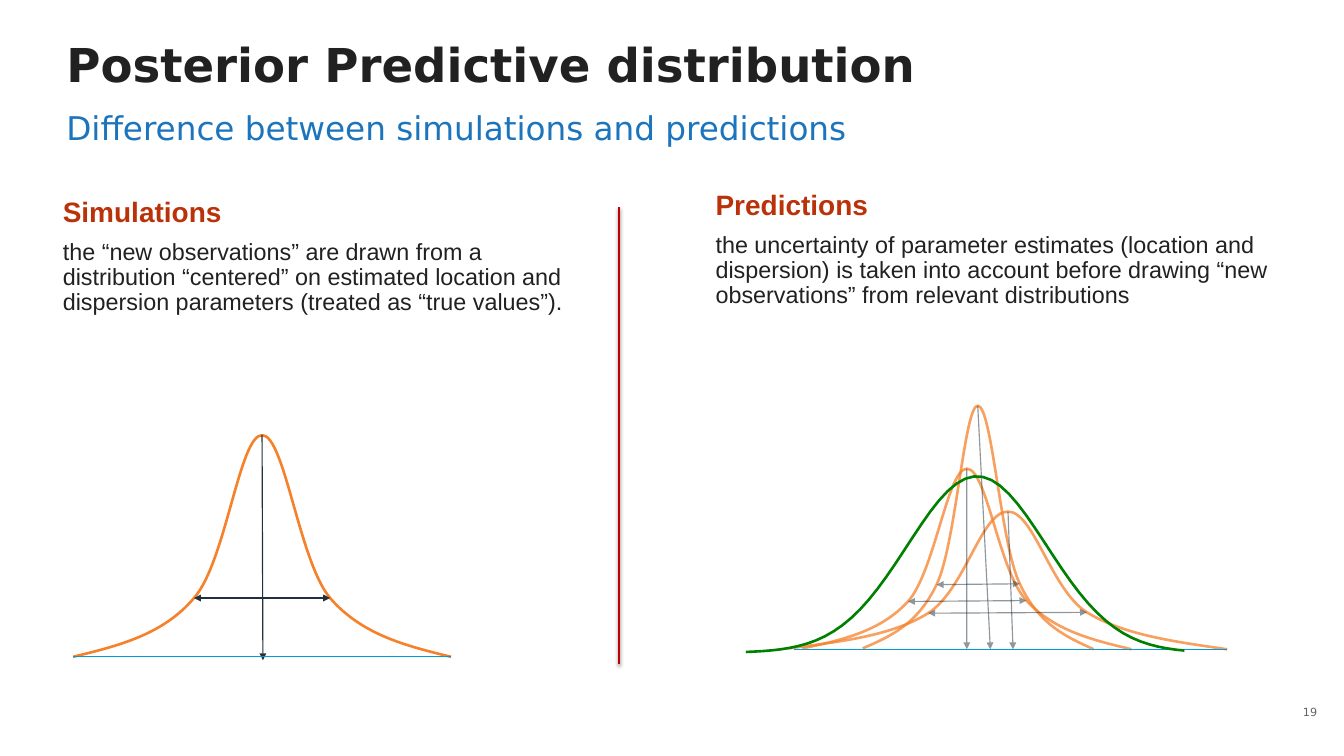
from math import exp

from lxml.etree import SubElement
from pptx import Presentation
from pptx.dml.color import RGBColor
from pptx.enum.shapes import MSO_CONNECTOR
from pptx.enum.text import MSO_ANCHOR, PP_ALIGN
from pptx.oxml.ns import qn
from pptx.util import Pt

EMU_PER_PX = 9144
INK = RGBColor(0x21, 0x21, 0x21)
SUBTITLE_BLUE = RGBColor(0x1C, 0x75, 0xBC)
PAGE_GREY = RGBColor(0x64, 0x64, 0x64)
HEADING_RUST = RGBColor(0xBA, 0x32, 0x09)
DIVIDER_RED = RGBColor(0xC0, 0x00, 0x00)
CURVE_ORANGE = RGBColor(0xF5, 0x81, 0x2A)
PREDICTIVE_GREEN = RGBColor(0x00, 0x80, 0x00)
ARROW_NAVY = RGBColor(0x21, 0x30, 0x3C)
AXIS_BLUE = RGBColor(0x00, 0x9C, 0xDA)

SIMULATION_CURVE = [
    (87, 782), (140, 769), (194, 756), (231, 712), (269, 669), (285, 518), (312, 518),
    (339, 518), (356, 668), (393, 712), (431, 756), (484, 769), (537, 782)]
PREDICTION_CURVES = [
    [(955, 772), (1002, 762), (1048, 752), (1081, 716), (1113, 680), (1128, 558), (1151, 558),
     (1175, 558), (1189, 680), (1222, 715), (1255, 751), (1301, 762), (1347, 773)],
    [(938, 772), (1000, 764), (1062, 757), (1105, 730), (1149, 702), (1168, 609), (1200, 609),
     (1231, 609), (1251, 702), (1294, 729), (1338, 756), (1399, 764), (1461, 773)],
    [(1027, 772), (1059, 758), (1092, 744), (1115, 696), (1138, 648), (1148, 483), (1164, 483),
     (1181, 483), (1191, 647), (1214, 695), (1237, 744), (1269, 758), (1302, 773)]]
MEAN_FEET = [1151, 1206, 1179]


def px(length):
    """Turn px, a hundred to the inch, into EMU."""
    return round(length * EMU_PER_PX)


def add_text(slide, box, paragraphs, font_name, inset=(0, 0), line_spacing=None,
             space_before=0, align=PP_ALIGN.LEFT, anchor=MSO_ANCHOR.TOP):
    """Add a wrapped text box with (text, size, colour, bold) paragraphs."""
    frame = slide.shapes.add_textbox(*map(px, box)).text_frame
    frame.word_wrap = True
    frame.vertical_anchor = anchor
    frame.margin_left = frame.margin_right = px(inset[0])
    frame.margin_top = frame.margin_bottom = px(inset[1])
    for index, (text, size, colour, bold) in enumerate(paragraphs):
        paragraph = frame.add_paragraph() if index else frame.paragraphs[0]
        paragraph.alignment = align
        paragraph.space_before = Pt(space_before if index else 0)
        paragraph.line_spacing = line_spacing
        run = paragraph.add_run()
        run.text = text
        run.font.name = font_name
        run.font.size = Pt(size)
        run.font.bold = bold
        run.font.color.rgb = colour


def style_line(stroke, colour, width, opacity=100):
    """Set the colour, width and opacity of a stroke and return its XML element."""
    stroke.line.color.rgb = colour
    stroke.line.width = Pt(width)
    outline = stroke._element.spPr.find(qn("a:ln"))
    if opacity < 100:
        tint = outline.find(".//" + qn("a:srgbClr"))
        SubElement(tint, qn("a:alpha"), val=str(opacity * 1000))
    return outline


def add_line(shapes, start, end, colour, width, opacity=100, arrows=()):
    """Add a straight line and return its empty effect list."""
    connector = shapes.add_connector(MSO_CONNECTOR.STRAIGHT, *map(px, start + end))
    outline = style_line(connector, colour, width, opacity)
    for arrow in arrows:
        SubElement(outline, qn(f"a:{arrow}"), type="triangle")
    return SubElement(connector._element.spPr, qn("a:effectLst"))


def add_outline(shapes, points, colour, opacity=100):
    """Add an open, unfilled outline through the points."""
    corners = [(px(x), px(y)) for x, y in points]
    builder = shapes.build_freeform(*corners[0], scale=1.0)
    builder.add_line_segments(corners[1:], close=False)
    outline = builder.convert_to_shape()
    outline.fill.background()
    outline.shadow.inherit = False
    style_line(outline, colour, 2.25, opacity)
    return outline


def add_bell(shapes, points, opacity=100):
    """Add a bell outline whose points are Bezier anchors and handles."""
    bell = add_outline(shapes, points, CURVE_ORANGE, opacity)
    segments = list(bell._element.iter(qn("a:lnTo")))
    track = segments[0].getparent()
    for first in range(0, len(segments), 3):
        curve = SubElement(track, qn("a:cubicBezTo"))
        for segment in segments[first:first + 3]:
            curve.append(segment[0])
            track.remove(segment)


def add_spread(shapes, bell, opacity=100):
    """Add the double arrow between the shoulders of a bell."""
    add_line(shapes, bell[3], bell[9], ARROW_NAVY, 1, opacity, ("headEnd", "tailEnd"))


def add_mean(shapes, bell, foot, opacity=100):
    """Add the arrow from the peak of a bell down to its foot."""
    add_line(shapes, bell[6], foot, ARROW_NAVY, 1, opacity, ("tailEnd",))


def add_explanation(slide, box, heading, body):
    """Add a heading with its explanation."""
    add_text(slide, box, [(heading, 24, HEADING_RUST, True), (body, 20, INK, False)],
             "Arial", inset=(10, 5), line_spacing=0.9, space_before=10)


def add_divider(slide):
    """Add the red divider with its soft shadow."""
    effects = add_line(slide.shapes, (737, 247), (737, 790), DIVIDER_RED, 2)
    shadow = SubElement(effects, qn("a:outerShdw"), blurRad=str(Pt(3.1)), dist=str(Pt(1.6)),
                        dir="5400000", rotWithShape="0")
    black = SubElement(shadow, qn("a:srgbClr"), val="000000")
    SubElement(black, qn("a:alpha"), val="38000")


def add_simulation(slide):
    """Draw the single distribution."""
    shapes = slide.shapes.add_group_shape().shapes
    add_bell(shapes, SIMULATION_CURVE)
    add_mean(shapes, SIMULATION_CURVE, (313, 786))
    add_spread(shapes, SIMULATION_CURVE)
    add_line(shapes, (87, 782), (537, 782), AXIS_BLUE, 0.75)


def add_prediction(slide):
    """Draw the uncertain distributions and the predictive one over them."""
    shapes = slide.shapes.add_group_shape().shapes
    for bell in PREDICTION_CURVES:
        add_bell(shapes, bell, 75)
    add_line(shapes, (945, 773), (1461, 773), AXIS_BLUE, 0.75)
    for bell, foot in zip(PREDICTION_CURVES, MEAN_FEET):
        add_mean(shapes, bell, (foot, 773), 50)
        add_spread(shapes, bell, 50)
    left, width, steps = 888, 522, 50
    centre, deviation, base, height = 1163, 83, 777, 210
    places = [left + width * step / steps for step in range(steps + 1)]
    predictive = [(x, base - height * exp(-((x - centre) / deviation) ** 2 / 2)) for x in places]
    add_outline(slide.shapes, predictive, PREDICTIVE_GREEN)


def main():
    """Build and save the slide."""
    deck = Presentation()
    deck.slide_width, deck.slide_height = px(1600), px(900)
    slide = deck.slides.add_slide(deck.slide_layouts[6])
    add_text(slide, (79, 50, 1441, 61), [("Posterior Predictive distribution", 40, INK, True)],
             "DejaVu Sans", line_spacing=0.9)
    add_text(slide, (79, 128, 1441, 47),
             [("Difference between simulations and predictions", 28, SUBTITLE_BLUE, False)],
             "DejaVu Sans")
    add_text(slide, (1528, 826, 50, 44), [("19", 9.6, PAGE_GREY, False)], "DejaVu Sans",
             inset=(10, 5), align=PP_ALIGN.RIGHT, anchor=MSO_ANCHOR.MIDDLE)
    add_explanation(slide, (65, 231, 620, 213), "Simulations",
                    "the “new observations” are drawn from a distribution “centered” on "
                    "estimated location and dispersion parameters (treated as “true values”).")
    add_explanation(slide, (842, 223, 678, 213), "Predictions",
                    "the uncertainty of parameter estimates (location and dispersion) is taken "
                    "into account before drawing “new observations” from relevant distributions")
    add_divider(slide)
    add_simulation(slide)
    add_prediction(slide)
    deck.save("out.pptx")


if __name__ == "__main__":
    main()
